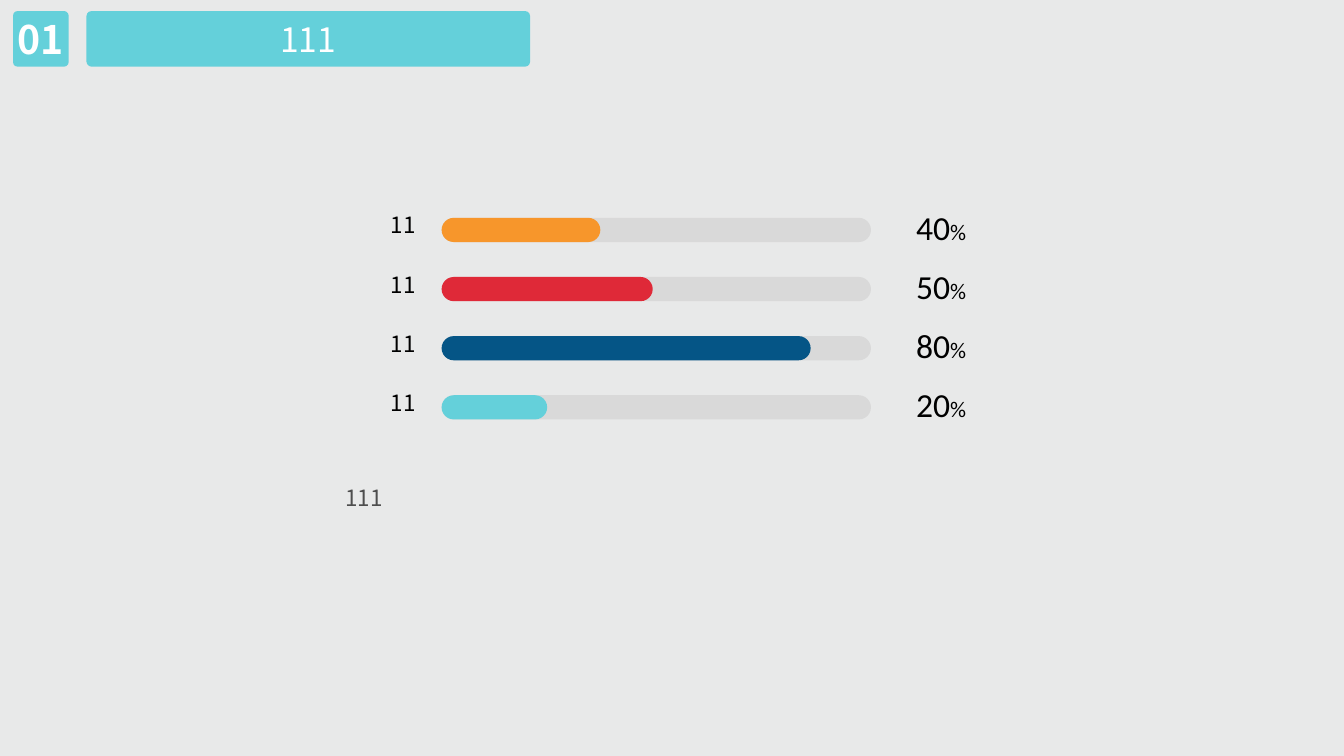
from dataclasses import dataclass

from pptx import Presentation
from pptx.dml.color import RGBColor
from pptx.enum.shapes import MSO_SHAPE
from pptx.enum.text import MSO_ANCHOR, PP_ALIGN
from pptx.util import Cm, Pt

ROUNDED = MSO_SHAPE.ROUNDED_RECTANGLE
MIDDLE, TOP = MSO_ANCHOR.MIDDLE, MSO_ANCHOR.TOP
LEFT, CENTER, RIGHT, JUSTIFY = PP_ALIGN.LEFT, PP_ALIGN.CENTER, PP_ALIGN.RIGHT, PP_ALIGN.JUSTIFY


@dataclass(frozen=True)
class Theme:
    background: str = "E8E9E9"
    track: str = "D9D9D9"
    orange: str = "F7962B"
    red: str = "DF2938"
    blue: str = "055586"
    teal: str = "64D0DA"
    white: str = "FFFFFF"
    black: str = "000000"
    grey: str = "4E4E4E"
    text_font: str = "Noto Sans CJK SC"
    figure_font: str = "Calibri"
    number_size: int = 28
    large_size: int = 24
    body_size: int = 16


theme = Theme()


def add_rounded(left, top, width, height, color, rounding):
    shape = slide.shapes.add_shape(ROUNDED, Cm(left), Cm(top), Cm(width), Cm(height))
    shape.adjustments[0] = rounding
    shape.fill.solid()
    shape.fill.fore_color.rgb = RGBColor.from_string(color)
    shape.line.fill.background()
    shape.shadow.inherit = False
    return shape


def write(holder, text, size, color, align, anchor=MIDDLE, font=theme.text_font, inset=True):
    frame = holder.text_frame
    frame.word_wrap = True
    frame.vertical_anchor = anchor
    if not inset:
        frame.margin_left = frame.margin_right = frame.margin_top = frame.margin_bottom = 0
    paragraph = frame.paragraphs[0]
    paragraph.text = text
    paragraph.alignment = align
    paragraph.font.name = font
    paragraph.font.size = Pt(size)
    paragraph.font.color.rgb = RGBColor.from_string(color)
    return paragraph


deck = Presentation()
deck.slide_width, deck.slide_height = Cm(33.87), Cm(19.05)
slide = deck.slides.add_slide(deck.slide_layouts[5])
slide.background.fill.solid()
slide.background.fill.fore_color.rgb = RGBColor.from_string(theme.background)

section = add_rounded(0.33, 0.28, 1.4, 1.4, theme.teal, 0.08)
section_number = write(section, "01", theme.number_size, theme.white, CENTER, inset=False)
section_number.font.bold = True

banner = add_rounded(2.18, 0.28, 11.18, 1.4, theme.teal, 0.09)
title = slide.shapes.title
title.left, title.top, title.width, title.height = banner.left, banner.top, banner.width, banner.height
write(title, "111", theme.large_size, theme.white, CENTER)
slide.shapes._spTree.append(title._element)

bars = [
    ("11", "40", 4.0, theme.orange),
    ("11", "50", 5.32, theme.red),
    ("11", "80", 9.3, theme.blue),
    ("11", "20", 2.66, theme.teal),
]
first_top, pitch = 5.49, 1.49
bar_left, bar_height = 11.13, 0.61

for row, (name, share, length, color) in enumerate(bars):
    top = first_top + row * pitch
    add_rounded(bar_left, top, 10.82, bar_height, theme.track, 0.5)
    add_rounded(bar_left, top, length, bar_height, color, 0.5)

    label = slide.shapes.add_textbox(Cm(8.18), Cm(top - 0.33), Cm(2.54), Cm(1.02))
    write(label, name, theme.body_size, theme.black, RIGHT)

    figure = slide.shapes.add_textbox(Cm(23.09), Cm(top - 0.26), Cm(2.01), Cm(0.97))
    value = write(figure, share, theme.large_size, theme.black, LEFT,
                  font=theme.figure_font, inset=False)
    percent = value.add_run()
    percent.text = "%"
    percent.font.size = Pt(theme.body_size)

note = slide.shapes.add_textbox(Cm(8.46), Cm(11.86), Cm(16.64), Cm(3.53))
remark = write(note, "111", theme.body_size, theme.grey, JUSTIFY, TOP)
remark.line_spacing = 1.3
remark.space_after = Pt(6)

deck.save("out.pptx")
